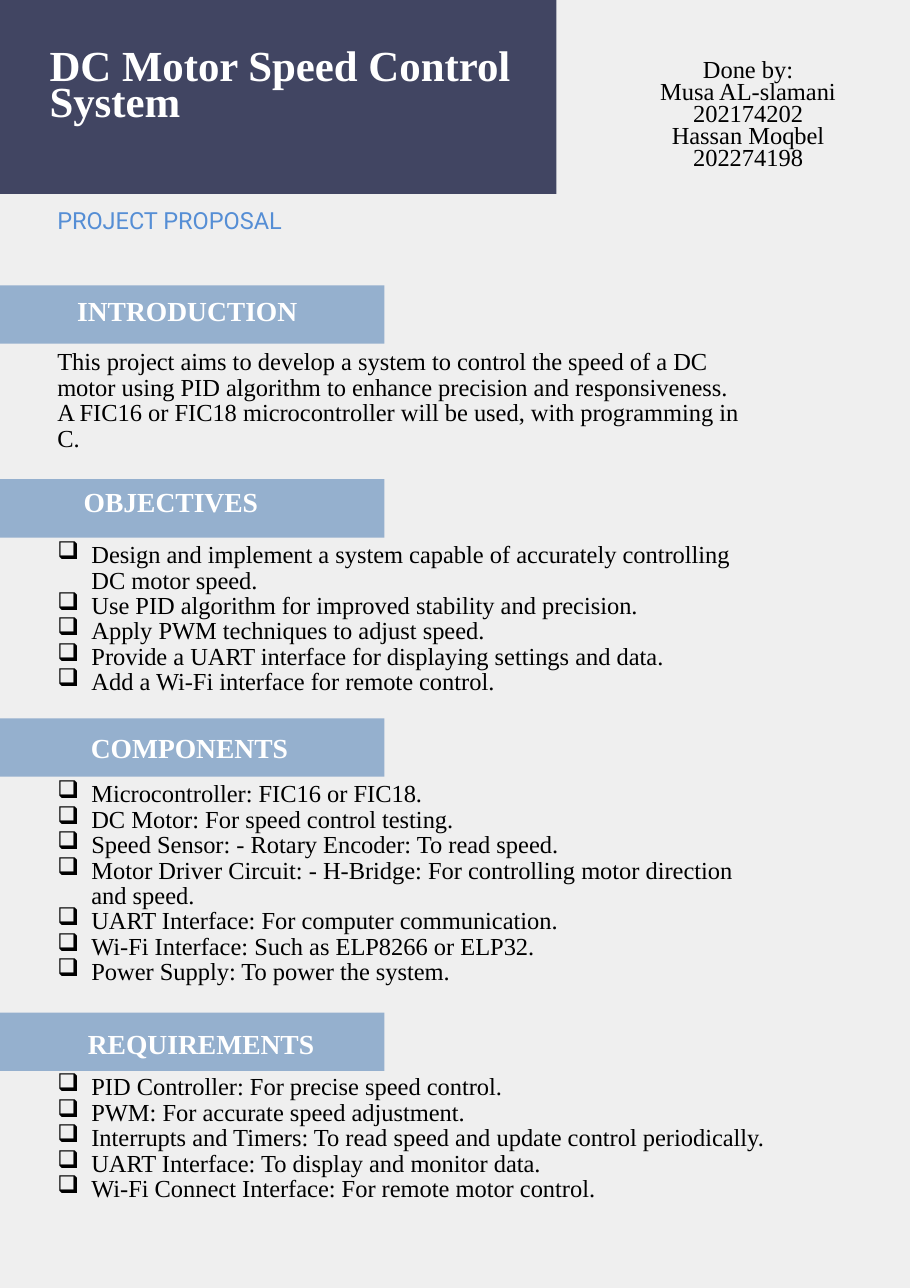
from dataclasses import dataclass

from lxml import etree
from pptx import Presentation
from pptx.dml.color import RGBColor
from pptx.enum.shapes import MSO_SHAPE
from pptx.enum.text import PP_ALIGN
from pptx.oxml.ns import qn
from pptx.slide import Slide
from pptx.util import Inches, Pt

PAPER = RGBColor(0xEF, 0xEF, 0xEF)
NAVY = RGBColor(0x41, 0x45, 0x62)
STEEL = RGBColor(0x95, 0xB0, 0xCE)
BLUE = RGBColor(0x55, 0x8E, 0xD5)
WHITE = RGBColor(0xFF, 0xFF, 0xFF)
BLACK = RGBColor(0x00, 0x00, 0x00)

SERIF = "Times New Roman"
MARGIN = 0.52
BAND_WIDTH, BAND_HEIGHT = 3.49, 0.53
BULLET = "❑"
BULLET_INDENT = 0.31


@dataclass(frozen=True)
class Box:
    left: float
    top: float
    width: float
    height: float


@dataclass(frozen=True)
class Style:
    size: float
    color: RGBColor
    spacing: Pt | float
    font: str = SERIF
    bold: bool = False
    align: PP_ALIGN = PP_ALIGN.LEFT
    bulleted: bool = False


@dataclass(frozen=True)
class Section:
    heading: str
    band_top: float
    heading_box: Box
    heading_spacing: Pt | float
    body_box: Box
    body: tuple[str, ...]
    heading_align: PP_ALIGN = PP_ALIGN.CENTER
    bulleted: bool = True


TITLE = Style(28, WHITE, Pt(23.2), bold=True)
SUBTITLE = Style(15.4, BLUE, Pt(23.6), font="Roboto")
AUTHORS = Style(16, BLACK, Pt(14.4), align=PP_ALIGN.CENTER)

SECTIONS = (
    Section(
        "INTRODUCTION", 2.59, Box(0.6, 2.65, 2.2, 0.31), 1.07,
        Box(MARGIN, 3.18, 6.19, 0.95),
        ("This project aims to develop a system to control the speed of a DC "
         "motor using PID algorithm to enhance precision and responsiveness. "
         "A FIC16 or FIC18 microcontroller will be used, with programming in C.",),
        bulleted=False,
    ),
    Section(
        "OBJECTIVES", 4.35, Box(0.76, 4.4, 2, 0.3), 1.0,
        Box(MARGIN, 4.93, 6.19, 1.43),
        ("Design and implement a system capable of accurately controlling DC motor speed.",
         "Use PID algorithm for improved stability and precision.",
         "Apply PWM techniques to adjust speed.",
         "Provide a UART interface for displaying settings and data.",
         "Add a Wi-Fi interface for remote control."),
        heading_align=PP_ALIGN.LEFT,
    ),
    Section(
        "COMPONENTS", 6.52, Box(0.14, 6.51, 3.16, 0.8), Pt(30.4),
        Box(MARGIN, 7.1, 6.36, 1.91),
        ("Microcontroller: FIC16 or FIC18.",
         "DC Motor: For speed control testing.",
         "Speed Sensor: - Rotary Encoder: To read speed.",
         "Motor Driver Circuit: - H-Bridge: For controlling motor direction and speed.",
         "UART Interface: For computer communication.",
         "Wi-Fi Interface: Such as ELP8266 or ELP32.",
         "Power Supply: To power the system."),
    ),
    Section(
        "REQUIREMENTS", 9.19, Box(0.1, 9.28, 3.45, 0.32), Pt(24.8),
        Box(MARGIN, 9.76, 6.56, 1.19),
        ("PID Controller: For precise speed control.",
         "PWM: For accurate speed adjustment.",
         "Interrupts and Timers: To read speed and update control periodically.",
         "UART Interface: To display and monitor data.",
         "Wi-Fi Connect Interface: For remote motor control."),
    ),
)


def add_band(slide: Slide, box: Box, color: RGBColor) -> None:
    band = slide.shapes.add_shape(
        MSO_SHAPE.RECTANGLE, Inches(box.left), Inches(box.top),
        Inches(box.width), Inches(box.height))
    band.shadow.inherit = False
    band.fill.solid()
    band.fill.fore_color.rgb = color
    band.line.fill.background()


def add_text(slide: Slide, box: Box, lines: tuple[str, ...], style: Style) -> None:
    frame = slide.shapes.add_textbox(
        Inches(box.left), Inches(box.top),
        Inches(box.width), Inches(box.height)).text_frame
    frame.word_wrap = True
    frame.margin_left = frame.margin_right = 0
    frame.margin_top = frame.margin_bottom = 0
    for index, line in enumerate(lines):
        paragraph = frame.add_paragraph() if index else frame.paragraphs[0]
        paragraph.text = line
        paragraph.alignment = style.align
        paragraph.line_spacing = style.spacing
        if style.bulleted:
            properties = paragraph._p.get_or_add_pPr()
            properties.set("marL", str(Inches(BULLET_INDENT)))
            properties.set("indent", str(-Inches(BULLET_INDENT)))
            etree.SubElement(properties, qn("a:buChar")).set("char", BULLET)
        paragraph.font.name = style.font
        paragraph.font.size = Pt(style.size)
        paragraph.font.bold = style.bold
        paragraph.font.color.rgb = style.color


def add_section(slide: Slide, section: Section) -> None:
    add_band(slide, Box(0, section.band_top, BAND_WIDTH, BAND_HEIGHT), STEEL)
    add_text(slide, section.heading_box, (section.heading,),
             Style(18, WHITE, section.heading_spacing, bold=True,
                   align=section.heading_align))
    add_text(slide, section.body_box, section.body,
             Style(16, BLACK, Pt(16.6), bulleted=section.bulleted))


def main() -> None:
    presentation = Presentation()
    presentation.slide_width = Inches(8.26)
    presentation.slide_height = Inches(11.69)
    slide = presentation.slides.add_slide(presentation.slide_layouts[6])
    slide.background.fill.solid()
    slide.background.fill.fore_color.rgb = PAPER

    add_band(slide, Box(0, 0, 5.05, 1.76), NAVY)
    add_text(slide, Box(0.45, 0.5, 4.6, 0.68),
             ("DC Motor Speed Control System",), TITLE)
    add_text(slide, Box(MARGIN, 1.8, 2.53, 0.32), ("PROJECT PROPOSAL",), SUBTITLE)
    add_text(slide, Box(5.78, 0.56, 2.02, 1),
             ("Done by:", "Musa AL-slamani 202174202", "Hassan Moqbel 202274198"),
             AUTHORS)
    for section in SECTIONS:
        add_section(slide, section)

    presentation.save("out.pptx")


if __name__ == "__main__":
    main()
